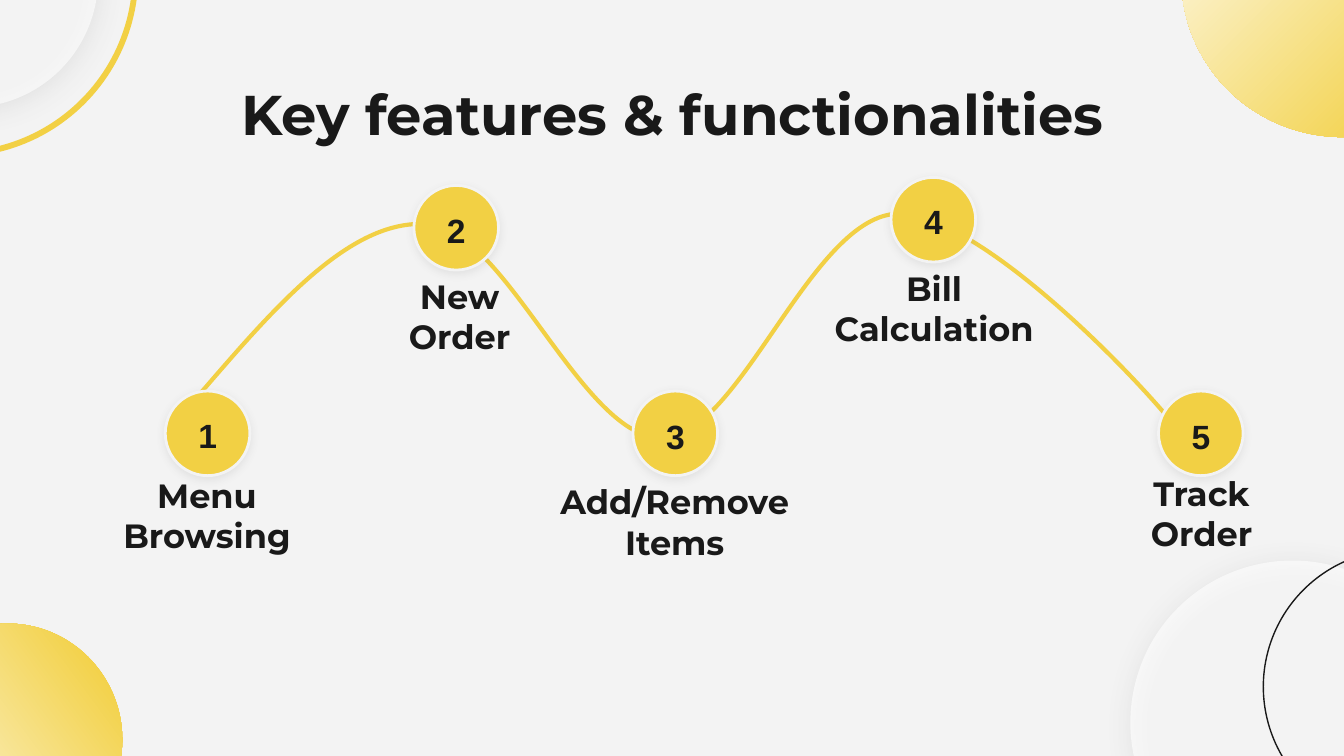
from dataclasses import dataclass

import lxml.etree
import pptx
import pptx.dml.color
import pptx.enum.shapes
import pptx.enum.text
import pptx.oxml
import pptx.oxml.ns
import pptx.util

Inches = pptx.util.Inches
Anchor = pptx.enum.text.MSO_ANCHOR
ShapeKind = pptx.enum.shapes.MSO_SHAPE
qualified = pptx.oxml.ns.qn


@dataclass(frozen=True)
class Theme:
    background: str = "F3F3F3"
    accent: str = "F2D044"
    ink: str = "191919"
    glass: str = "FFFFFF"
    shade: str = "595959"
    heading_font: str = "Montserrat"
    number_font: str = "Arial"
    title_size: int = 30
    label_size: int = 18


@dataclass(frozen=True)
class Box:
    left: float
    top: float
    width: float
    height: float

    def lengths(self) -> list:
        return [Inches(value) for value in (self.left, self.top, self.width, self.height)]


@dataclass(frozen=True)
class Shadow:
    opacity: int
    blur: float
    distance: float
    angle: int


@dataclass(frozen=True)
class Step:
    left: float
    top: float
    number_top: float
    label_left: float
    label_top: float
    lines: tuple


THEME = Theme()
SLIDE_WIDTH = 10
SLIDE_HEIGHT = SLIDE_WIDTH * 9 / 16
GLASS_SHADOW = Shadow(19, 14.6, 2.2, 74)
MARKER_SHADOW = Shadow(11, 4.5, 1.5, 90)
MARKER_SIZE = 0.63
NUMBER_WIDTH, NUMBER_HEIGHT = 0.8, 0.49
LABEL_WIDTH, LABEL_HEIGHT = 2.58, 0.61

STEPS = [
    Step(1.23, 2.91, 2.99, 0.25, 3.62, ("Menu", "Browsing")),
    Step(3.08, 1.38, 1.47, 2.13, 2.14, ("New", "Order")),
    Step(4.71, 2.91, 3.0, 3.73, 3.67, ("Add/Remove Items",)),
    Step(6.63, 1.32, 1.4, 5.66, 2.08, ("Bill", "Calculation")),
    Step(8.62, 2.91, 3.0, 7.65, 3.61, ("Track", "Order")),
]
WAVE_START = (1.48, 2.94)
WAVE_CURVES = [
    (2.05, 2.28), (2.62, 1.61), (3.2, 1.67),
    (3.77, 1.72), (4.34, 3.27), (4.93, 3.26),
    (5.51, 3.25), (6.04, 1.59), (6.69, 1.59),
    (7.34, 1.6), (8.65, 3.0), (8.84, 3.3),
]


def color(value: str) -> pptx.dml.color.RGBColor:
    return pptx.dml.color.RGBColor.from_string(value)


def set_values(target, values: dict) -> None:
    for name, value in values.items():
        setattr(target, name, value)


def set_line(shape, value: str, width: float) -> None:
    shape.line.color.rgb = color(value)
    shape.line.width = pptx.util.Pt(width)


def add_shape(slide, kind, box: Box, fill: str = "", rotation: float = 0):
    shape = slide.shapes.add_shape(kind, *box.lengths())
    shape.shadow.inherit = False
    shape.rotation = rotation
    shape.line.fill.background()
    if fill:
        shape.fill.solid()
        shape.fill.fore_color.rgb = color(fill)
    else:
        shape.fill.background()
    return shape


def add_shadow(shape, shadow: Shadow) -> None:
    effects = shape._element.spPr.find(qualified("a:effectLst"))
    outer = lxml.etree.SubElement(
        effects, qualified("a:outerShdw"),
        blurRad=str(pptx.util.Pt(shadow.blur)), dist=str(pptx.util.Pt(shadow.distance)),
        dir=str(shadow.angle * 60000), algn="bl", rotWithShape="0")
    tone = lxml.etree.SubElement(outer, qualified("a:srgbClr"), val=THEME.shade)
    lxml.etree.SubElement(tone, qualified("a:alpha"), val=str(shadow.opacity * 1000))


def add_gradient_disc(slide, box: Box, rotation: float = 0) -> None:
    shape = add_shape(slide, ShapeKind.OVAL, box, rotation=rotation)
    stops = "".join(
        f'<a:gs pos="{position * 1000}"><a:srgbClr val="{value}"/></a:gs>'
        for position, value in ((0, THEME.accent), (15, THEME.accent), (100, THEME.glass)))
    gradient = pptx.oxml.parse_xml(
        f'<a:gradFill {pptx.oxml.ns.nsdecls("a")} rotWithShape="1"><a:gsLst>{stops}</a:gsLst>'
        f'<a:lin ang="{225 * 60000}" scaled="0"/></a:gradFill>')
    properties = shape._element.spPr
    properties.replace(properties.find(qualified("a:noFill")), gradient)


def add_glass_disc(slide, box: Box) -> None:
    shape = add_shape(slide, ShapeKind.OVAL, box, THEME.glass, 213.6)
    tone = shape._element.spPr.find(qualified("a:solidFill"))[0]
    lxml.etree.SubElement(tone, qualified("a:alpha"), val="62000")
    add_shadow(shape, GLASS_SHADOW)


def add_wave(slide) -> None:
    builder = slide.shapes.build_freeform(*[Inches(value) for value in WAVE_START])
    builder.add_line_segments(
        [(Inches(x), Inches(y)) for x, y in WAVE_CURVES], close=False)
    shape = builder.convert_to_shape()
    shape.shadow.inherit = False
    shape.fill.background()
    set_line(shape, THEME.accent, 2.25)
    segments = list(shape._element.iter(qualified("a:lnTo")))
    for first in range(0, len(segments), 3):
        group = segments[first:first + 3]
        curve = lxml.etree.Element(qualified("a:cubicBezTo"))
        group[0].addprevious(curve)
        for segment in group:
            curve.append(segment[0])
            segment.getparent().remove(segment)


def write_text(shape, lines: tuple, font: str, size: int, anchor) -> None:
    frame = shape.text_frame
    frame.text = "\n".join(lines)
    margins = {f"margin_{side}": Inches(0.1) for side in ("left", "top", "right", "bottom")}
    set_values(frame, {"word_wrap": True, "vertical_anchor": anchor,
                       "auto_size": pptx.enum.text.MSO_AUTO_SIZE.NONE, **margins})
    for paragraph in frame.paragraphs:
        paragraph.alignment = pptx.enum.text.PP_ALIGN.CENTER
        for run in paragraph.runs:
            set_values(run.font, {"name": font, "size": pptx.util.Pt(size), "bold": True})
            run.font.color.rgb = color(THEME.ink)


def add_step(slide, number: int, step: Step) -> None:
    marker = add_shape(slide, ShapeKind.OVAL,
                       Box(step.left, step.top, MARKER_SIZE, MARKER_SIZE), THEME.accent)
    set_line(marker, THEME.background, 1.5)
    add_shadow(marker, MARKER_SHADOW)
    number_left = step.left + (MARKER_SIZE - NUMBER_WIDTH) / 2
    number_box = Box(number_left, step.number_top, NUMBER_WIDTH, NUMBER_HEIGHT)
    label_box = Box(step.label_left, step.label_top, LABEL_WIDTH, LABEL_HEIGHT)
    for box, lines, font, anchor in (
            (label_box, step.lines, THEME.heading_font, Anchor.BOTTOM),
            (number_box, (str(number),), THEME.number_font, Anchor.MIDDLE)):
        text_box = slide.shapes.add_textbox(*box.lengths())
        write_text(text_box, lines, font, THEME.label_size, anchor)


def main() -> None:
    presentation = pptx.Presentation()
    set_values(presentation, {"slide_width": Inches(SLIDE_WIDTH),
                              "slide_height": Inches(SLIDE_HEIGHT)})
    slide = presentation.slides.add_slide(presentation.slide_layouts.get_by_name("Title Only"))
    slide.background.fill.solid()
    slide.background.fill.fore_color.rgb = color(THEME.background)

    title = slide.shapes.title
    title_place = zip(("left", "top", "width", "height"), Box(0.79, 0.49, 8.43, 0.63).lengths())
    set_values(title, dict(title_place))
    write_text(title, ("Key features & functionalities",), THEME.heading_font,
               THEME.title_size, Anchor.TOP)

    add_gradient_disc(slide, Box(8.79, -1.35, 2.4, 2.37))
    add_glass_disc(slide, Box(-1.19, -1.12, 1.92, 1.92))
    ring = add_shape(slide, ShapeKind.DONUT, Box(-1.69, -1.55, 2.72, 2.72), THEME.accent)
    ring.adjustments[0] = 0.016
    add_gradient_disc(slide, Box(-0.81, 4.65, 1.73, 1.71), 278.6)
    add_wave(slide)
    add_glass_disc(slide, Box(8.41, 4.17, 2.41, 2.41))
    outline = add_shape(slide, ShapeKind.OVAL, Box(9.4, 4.09, 2.04, 2.04))
    set_line(outline, THEME.ink, 0.75)
    for number, step in enumerate(STEPS, start=1):
        add_step(slide, number, step)

    presentation.save("out.pptx")


if __name__ == "__main__":
    main()
